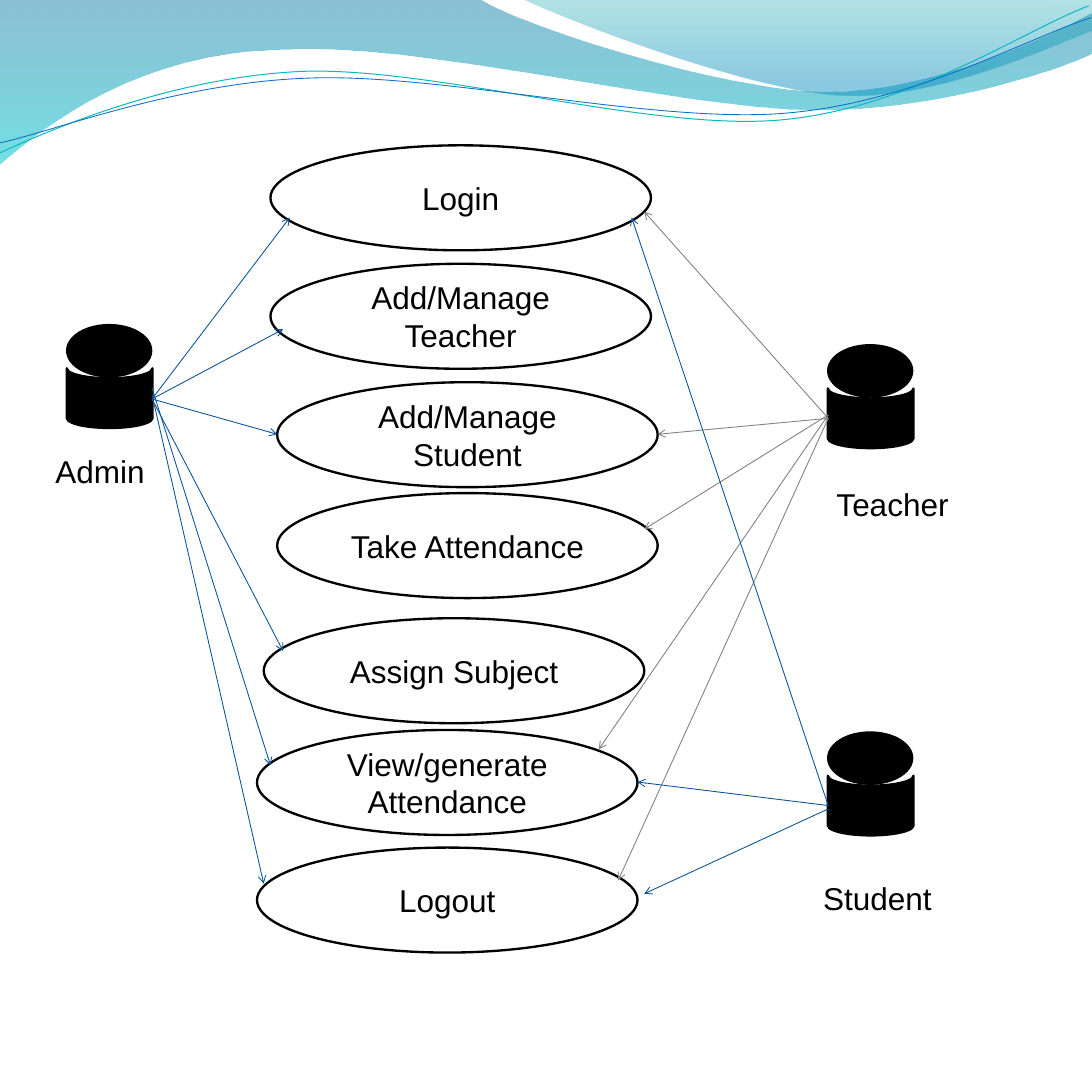
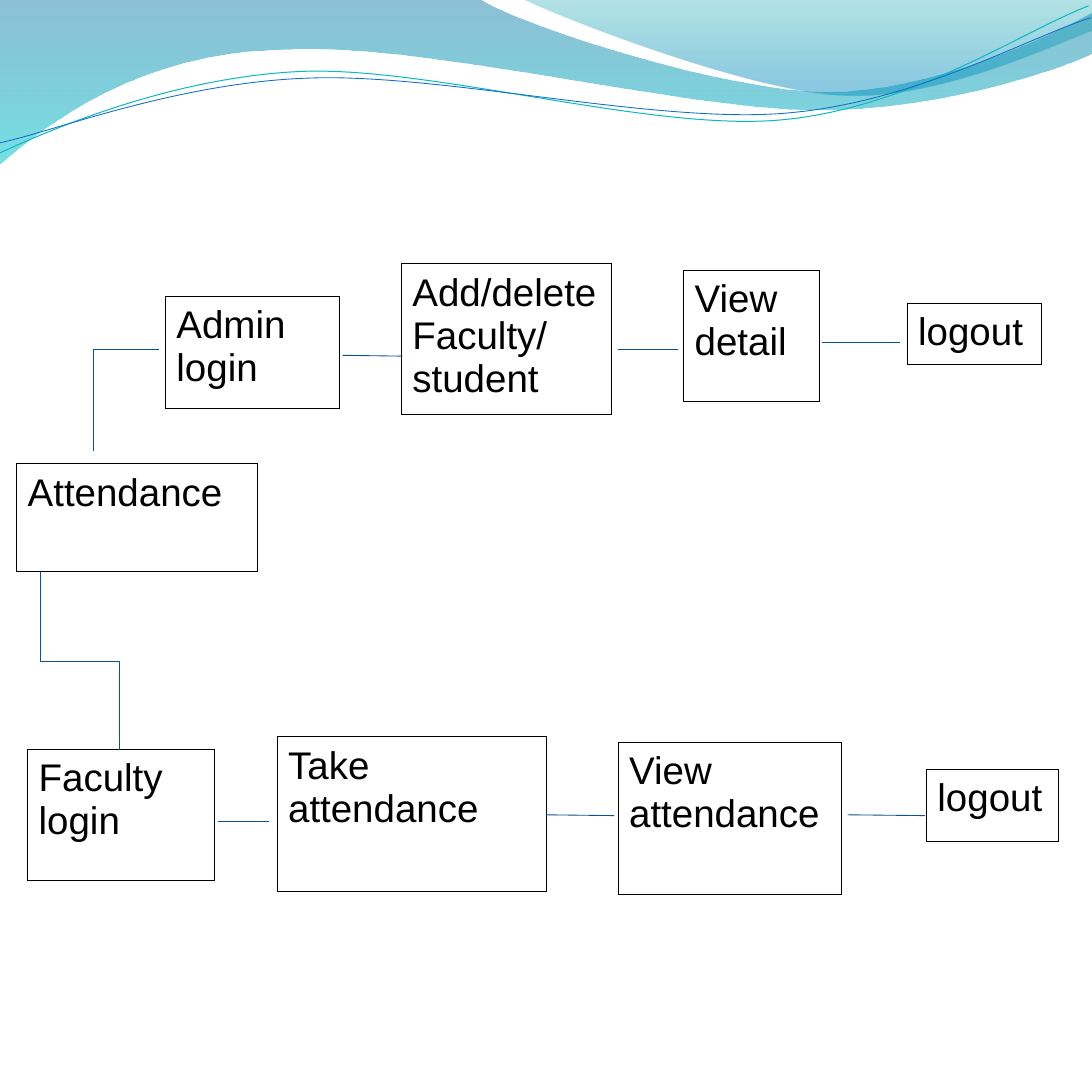
import lxml.etree
import pptx
import pptx.dml.color
import pptx.enum.shapes
import pptx.enum.text
import pptx.oxml.ns
import pptx.util

qn = pptx.oxml.ns.qn
inch = pptx.util.Inches
rgb = pptx.dml.color.RGBColor.from_string
kinds = pptx.enum.shapes.MSO_SHAPE
wires = pptx.enum.shapes.MSO_CONNECTOR
child = lxml.etree.SubElement


class Theme:
    font = "Arial"
    ink, paper, blue, gray = "000000", "FFFFFF", "095295", "808080"
    small, large = 27, 33
    thin, edge, thick = 0.75, 1, 2


def write(frame, text, size, align=None):
    frame.word_wrap = True
    frame.text = text
    for para in frame.paragraphs:
        para.alignment = align
        para.font.name = Theme.font
        para.font.size = pptx.util.Pt(size)
        para.font.color.rgb = rgb(Theme.ink)


def link(slide, start, end, color=Theme.blue, arrow=False, kind=wires.STRAIGHT):
    wire = slide.shapes.add_connector(kind, *map(inch, start + end))
    wire.line.color.rgb = rgb(color)
    wire.line.width = pptx.util.Pt(Theme.thin)
    props = wire.element.spPr
    if arrow:
        child(props.find(qn("a:ln")), qn("a:tailEnd"), type="arrow")
    child(props, qn("a:effectLst"))
    return wire


deck = pptx.Presentation()
deck.slide_width = deck.slide_height = inch(13)
blank = deck.slide_layouts[6]
for holder in list(blank.placeholders):
    blank.shapes.element.remove(holder.element)
cases = deck.slides.add_slide(blank)
flow = deck.slides.add_slide(blank)

# Waves: start, then corners (2 numbers) or curves (6 numbers);
# bands carry gradient stops (place, colour, opacity), strands a line
waves = [
    ([(0, -0.01), (5.72, -0.01), (6.18, 0.29, 8.63, 1.09, 9.86, 1.09),
      (11.09, 1.09, 12.46, 0.44, 13, 0.15), (13.01, 0.63),
      (12.78, 0.76, 11.31, 1.31, 9.7, 1.31), (8.08, 1.3, 4.96, 0.48, 3.34, 0.59),
      (1.68, 0.62, 0.6, 1.44, -0.01, 1.96)],
     [(0, "0074A1", 45), (1, "00C6CF", 55)], None),
    ([(6.23, -0.01), (6.62, 0.19, 8.87, 1.07, 9.99, 1.13),
      (11.12, 1.2, 12.5, 0.55, 13, 0.36), (13, 0)],
     [(0, "00A1A9", 30), (0.8, "008BBF", 45)], None),
    ([(0, 1.82), (0.63, 1.53, 2.05, 0.92, 3.59, 0.85),
      (5.14, 0.79, 7.71, 1.56, 9.27, 1.43), (10.83, 1.3, 12.19, 0.36, 12.96, 0.07)],
     None, ("0AB8BF", 0.85)),
    ([(0, 1.7), (0.62, 1.57, 2.12, 0.98, 3.68, 0.93),
      (5.23, 0.87, 7.77, 1.47, 9.32, 1.35), (10.88, 1.23, 12.23, 0.45, 12.99, 0.21)],
     None, ("0F6FC6", 0.75)),
]
for route, stops, line in waves:
    dots = [tuple(map(inch, part[at:at + 2]))
            for part in route for at in range(0, len(part), 2)]
    pen = cases.shapes.build_freeform(*dots[0])
    pen.add_line_segments(dots[1:], close=bool(stops))
    wave = pen.convert_to_shape()
    # Join each three points of a curve into one Bezier segment
    legs = iter(list(wave.element.iter(qn("a:lnTo"))))
    for part in route[1:]:
        leg = next(legs)
        if len(part) == 6:
            leg.tag = qn("a:cubicBezTo")
            for more in (next(legs), next(legs)):
                leg.append(more[0])
                more.getparent().remove(more)
    wave.shadow.inherit = False
    if stops:
        wave.fill.gradient()
        wave.fill.gradient_angle = 270
        for stop, (place, color, _) in zip(wave.fill.gradient_stops, stops):
            stop.position = place
            stop.color.rgb = rgb(color)
        for tint, (_, _, alpha) in zip(wave.element.iter(qn("a:srgbClr")), stops):
            child(tint, qn("a:alpha"), val=str(alpha * 1000))
        wave.line.fill.background()
    else:
        wave.fill.background()
        wave.line.color.rgb = rgb(line[0])
        wave.line.width = pptx.util.Pt(line[1])
    blank.shapes.element.append(wave.element)  # shared through the layout

# Use cases and actors: kind, box, turn, fill, text
forms = [(kinds.OVAL, (left, top, 4.53, 1.25), 0, Theme.paper, text)
         for left, top, text in [
             (3.22, 1.73, "Login"), (3.22, 3.14, "Add/Manage Teacher"),
             (3.3, 4.55, "Add/Manage Student"), (3.3, 5.87, "Take Attendance"),
             (3.14, 7.36, "Assign Subject"), (3.06, 8.69, "View/generate Attendance"),
             (3.06, 10.09, "Logout")]]
for left, top in [(0.8, 3.87), (9.86, 4.11), (9.86, 8.72)]:
    forms += [(kinds.FLOWCHART_STORED_DATA, (left + 0.15, top + 0.36, 0.71, 1.02),
               270, Theme.ink, ""),
              (kinds.OVAL, (left, top, 1, 0.61), 0, Theme.ink, "")]
for kind, box, turn, fill, text in forms:
    form = cases.shapes.add_shape(kind, *map(inch, box))
    form.rotation = turn
    form.shadow.inherit = False
    form.fill.solid()
    form.fill.fore_color.rgb = rgb(fill)
    form.line.color.rgb = rgb(Theme.ink)
    form.line.width = pptx.util.Pt(Theme.thick)
    if text:
        write(form.text_frame, text, Theme.small, pptx.enum.text.PP_ALIGN.CENTER)

# Arrows from each actor: start height, then the tip
fans = [
    (1.81, Theme.blue, [(4.75, 3.45, 2.59), (4.75, 3.37, 3.92), (4.75, 3.3, 5.17),
                        (4.75, 3.37, 7.75), (4.62, 3.22, 9.11), (4.7, 3.14, 10.52)]),
    (9.86, Theme.gray, [(4.98, 7.67, 2.52), (4.98, 7.83, 5.17), (4.94, 7.67, 6.3),
                        (4.94, 7.13, 8.92), (4.98, 7.36, 10.48)]),
    (9.86, Theme.blue, [(9.59, 7.52, 2.59), (9.59, 7.59, 9.31), (9.63, 7.67, 10.64)]),
]
for hub, color, tips in fans:
    for high, *tip in tips:
        link(cases, (hub, high), tuple(tip), color, arrow=True)

# Actor names
for left, top, wide, name in [(0.56, 5.33, 1.33, "Admin"), (9.86, 5.72, 2.11, "Teacher"),
                              (9.7, 10.41, 2.42, "Student")]:
    label = cases.shapes.add_textbox(*map(inch, (left, top, wide, 0.56)))
    write(label.text_frame, name, Theme.small)

# Flow boxes: one-cell tables
boxes = [
    (0.2, 5.52, 2.86, 1.28, "Attendance"),
    (1.97, 3.53, 2.07, 1.33, "Admin login"),
    (4.78, 3.14, 2.5, 1.8, "Add/delete\nFaculty/student"),
    (8.14, 3.22, 1.61, 1.56, "View detail"),
    (10.8, 3.61, 1.6, 0.73, "logout"),
    (0.33, 8.92, 2.22, 1.56, "Faculty login"),
    (3.3, 8.77, 3.2, 1.84, "Take attendance"),
    (7.36, 8.84, 2.66, 1.81, "View attendance"),
    (11.03, 9.16, 1.57, 0.86, "logout"),
]
for *box, text in boxes:
    table = flow.shapes.add_table(1, 1, *map(inch, box)).table
    table.first_row = table.horz_banding = False
    cell = table.cell(0, 0)
    cell.margin_left = cell.margin_right = inch(0.13)
    cell.margin_top = cell.margin_bottom = inch(0.09)
    write(cell.text_frame, text, Theme.large)
    props = cell._tc.get_or_add_tcPr()
    for side in ("lnL", "lnR", "lnT", "lnB"):
        rule = child(props, qn("a:" + side), w=str(pptx.util.Pt(Theme.edge)))
        child(child(rule, qn("a:solidFill")), qn("a:srgbClr"), val=Theme.ink)
    cell.fill.background()

# Flow lines
for start, end in [
        ((1.11, 5.37), (1.11, 4.16)), ((1.11, 4.16), (1.89, 4.16)),
        ((4.08, 4.23), (4.79, 4.24)), ((7.36, 4.16), (8.07, 4.16)),
        ((9.78, 4.08), (10.72, 4.08)), ((2.59, 9.78), (3.2, 9.78)),
        ((6.5, 9.7), (7.31, 9.71)), ((10.09, 9.7), (11.01, 9.71))]:
    link(flow, start, end)
# Elbow turned a quarter so that it leaves downwards
elbow = link(flow, (2.01, 7.4), (-0.1, 8.34), kind=wires.ELBOW)
elbow.element.spPr.find(qn("a:xfrm")).set("rot", str(270 * 60000))

deck.save("out.pptx")
